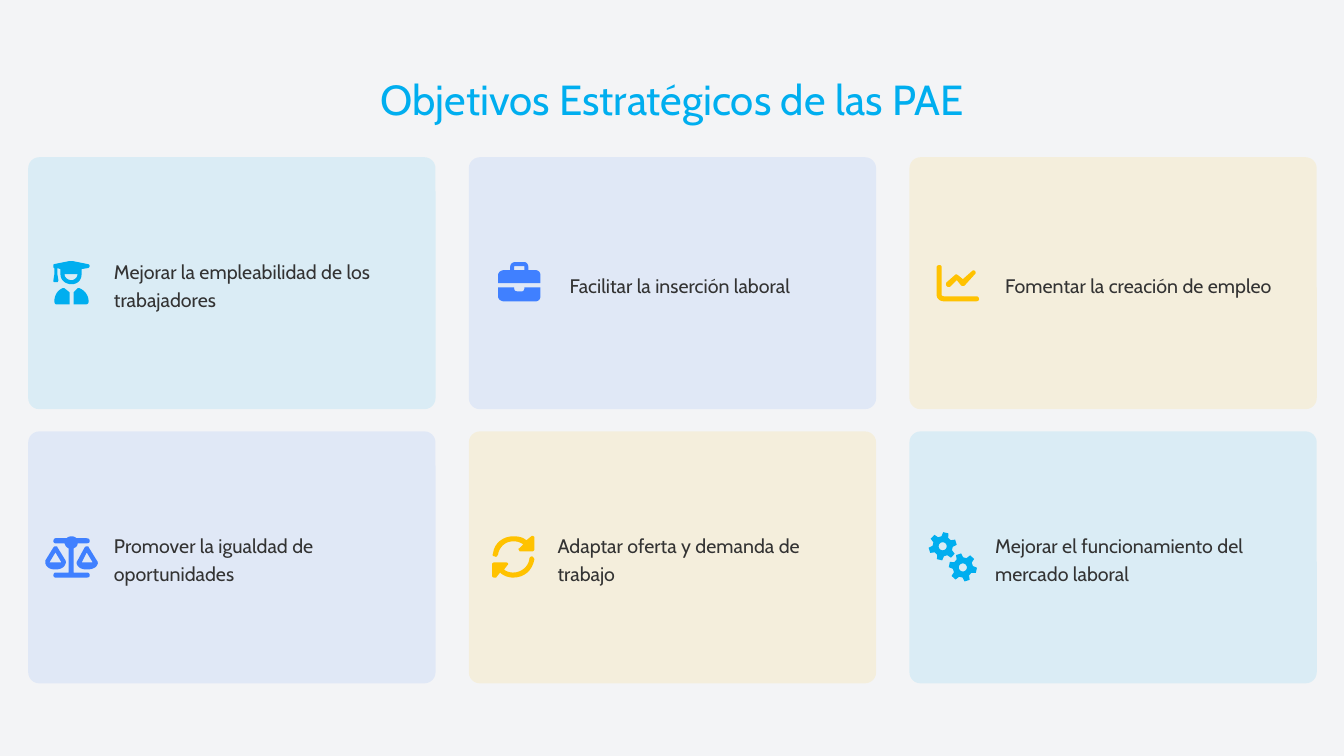
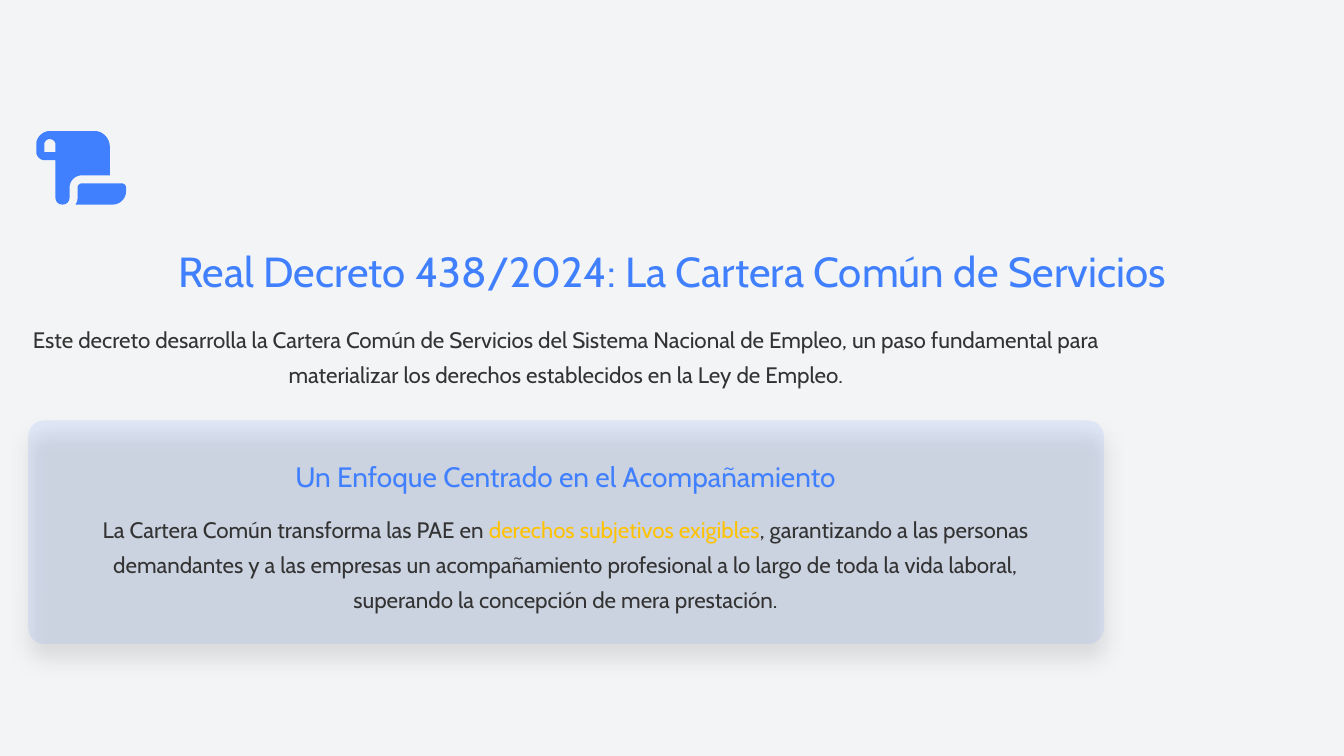
from math import cos, radians, sin

from lxml.etree import SubElement
from pptx import Presentation
from pptx.dml.color import RGBColor
from pptx.enum.shapes import MSO_SHAPE
from pptx.enum.text import MSO_ANCHOR, MSO_AUTO_SIZE, PP_ALIGN
from pptx.oxml.ns import qn
from pptx.util import Inches, Pt

CYAN = RGBColor(0x00, 0xAE, 0xEF)
BLUE = RGBColor(0x40, 0x80, 0xFF)
AMBER = RGBColor(0xFF, 0xC2, 0x00)
INK = RGBColor(0x33, 0x33, 0x33)
PAPER = RGBColor(0xF3, 0xF4, 0xF6)
FONT = "Cabin"
SLIDE_W, SLIDE_H = 13.33, 7.5
MARGIN = 0.28
CARD_W, CARD_H = 4.04, 2.5
COLUMN_STEP, ROW_STEP = 4.37, 2.72
CARDS_TOP = 1.56
CURVE_STEPS = 8

GRADUATE = """
M72,259 C71,259 70,259 69,259 L54,262 C53,262 53,263 53,264 C53,265 53,266 54,266
L54,272 53,278 C53,279 53,280 54,280 L57,280 C57,280 58,279 58,278 L57,272 57,266 60,267 60,272
C60,278 65,282 71,282 C77,282 81,278 81,272 L81,267 87,266
C88,266 89,265 89,264 C89,263 88,262 87,262
M71,278 C67,278 64,275 64,272 L77,272 C77,275 74,278 71,278
M62,286 C57,288 54,293 54,299 C54,301 55,302 56,302 L69,302 69,290 64,286 C64,286 63,286 62,286
M73,302 L85,302 C87,302 88,301 88,299 C88,293 84,288 79,286 C79,286 78,286 77,286 L73,290
"""
BRIEFCASE = """
M511,264 L520,264 C520,264 520,264 520,265 L520,268 510,268 510,265 C510,264 510,264 511,264
M506,265 L506,268 500,268 C497,268 494,270 494,273 L494,281 536,281 536,273
C536,270 534,268 531,268 L524,268 524,265 C524,262 522,260 520,260 L511,260 C508,260 506,262 506,265
M536,285 L520,285 520,286 C520,288 519,289 518,289 L513,289 C511,289 510,288 510,286 L510,285
494,285 494,294 C494,297 497,299 500,299 L531,299 C534,299 536,297 536,294
"""
LINE_CHART = """
M934,265 C934,264 933,263 932,263 C930,263 929,264 929,265 L929,293 C929,296 932,299 936,299
L968,299 C970,299 971,298 971,297 C971,295 970,294 968,294 L936,294 C935,294 934,293 934,293
M967,272 C968,271 968,270 967,269 C966,268 965,268 964,269 L955,277 950,273
C949,272 948,272 947,273 L939,280 C938,281 938,283 939,284 C940,285 942,285 943,284
L949,278 953,283 C954,284 956,284 957,283
"""
SCALES = """
M76,534 L86,534 C88,534 89,535 89,537 C89,538 88,539 86,539 L77,539 C77,542 75,543 73,544
L73,568 86,568 C88,568 89,569 89,571 C89,572 88,573 86,573 L55,573 C54,573 53,572 53,571
C53,569 54,568 55,568 L68,568 68,544 C66,543 65,542 64,539 L55,539 C54,539 53,538 53,537
C53,535 54,534 55,534 L66,534 C67,533 69,532 71,532 C73,532 75,533 76,534
M81,558 L92,558 86,548
M86,565 C81,565 77,563 76,559 C76,558 76,557 77,556 L84,543 C85,542 86,542 86,542
C87,542 88,542 88,543 L96,556 C97,557 97,558 97,559 C96,563 92,565 86,565
M55,548 L49,558 61,558
M45,559 C45,558 45,557 45,556 L53,543 C54,542 54,542 55,542 C56,542 57,542 57,543
L65,556 C65,557 66,558 65,559 C64,563 60,565 55,565 C50,565 46,563 45,559
"""
CYCLE = """
M527,547 L528,547 C529,547 530,546 530,545 L530,534 C530,533 530,532 529,532
C528,531 527,532 527,532 L522,536 C519,533 514,532 509,532 C499,532 490,539 489,549
C488,551 489,552 491,552 C492,553 493,552 494,550 C495,543 501,537 509,537
C513,537 516,538 519,540 L515,544 C514,544 514,545 515,546 C515,547 516,547 516,547
M530,555 C530,554 529,553 528,552 C526,552 525,553 525,555 C524,562 517,568 509,568
C506,568 502,567 500,565 L503,561 C504,560 504,560 504,559 C503,558 503,558 502,558
L490,558 C489,558 488,559 488,560 L488,571 C488,572 489,573 490,573
C490,573 491,573 492,573 L496,568 C499,571 504,573 509,573 C520,573 528,566 530,555
"""
SCROLL = """
M36,143 C36,136 42,131 48,130 L94,130 C102,130 109,137 109,146 L109,174 81,174
C74,174 69,180 69,186 L69,196 C69,200 66,203 62,203 C58,203 55,200 55,196 L55,159 44,159
C40,159 36,155 36,151
M75,203 C76,201 77,199 77,196 L77,186 C77,184 79,182 81,182 L121,182 C123,182 125,184 125,186
L125,190 C125,197 119,203 112,203
M49,138 C47,138 44,140 44,143 L44,151 55,151 55,143 C55,140 52,138 49,138
"""


def bezier(start, first, second, end):
    for step in range(1, CURVE_STEPS + 1):
        t = step / CURVE_STEPS
        weights = ((1 - t) ** 3, 3 * t * (1 - t) ** 2, 3 * t * t * (1 - t), t ** 3)
        yield tuple(sum(w * p[axis] for w, p in zip(weights, (start, first, second, end)))
                    for axis in (0, 1))


def outline(commands):
    contours, handles, mode = [], [], "M"
    for token in commands.split():
        if token[0].isalpha():
            mode, token = token[0], token[1:]
        point = tuple(int(number) / 100 for number in token.split(","))
        if mode == "M":
            contours.append([point])
        elif mode == "L":
            contours[-1].append(point)
        else:
            handles.append(point)
            if len(handles) == 3:
                contours[-1].extend(bezier(contours[-1][-1], *handles))
                handles = []
    return contours


def polar(center, radius, degrees):
    angle = radians(degrees)
    return center[0] + radius * cos(angle), center[1] + radius * sin(angle)


def gear(center, rotation):
    tooth = ((0.1, -20), (0.14, -11), (0.14, 11), (0.1, 20))
    rim = [polar(center, radius, rotation + turn + offset)
           for turn in range(0, 360, 60) for radius, offset in tooth]
    hub = [polar(center, 0.04, turn) for turn in range(0, 360, 15)]
    return [rim, hub]


def add_icon(slide, contours, color):
    builder = None
    for contour in contours:
        points = [(Inches(x), Inches(y)) for x, y in contour]
        if builder is None:
            builder = slide.shapes.build_freeform(*points[0], scale=1.0)
        else:
            builder.move_to(*points[0])
        builder.add_line_segments(points[1:], close=True)
    icon = builder.convert_to_shape()
    icon.shadow.inherit = False
    icon.fill.solid()
    icon.fill.fore_color.rgb = color
    icon.line.fill.background()


def add_card(slide, left, top, width, height, radius, color):
    card = slide.shapes.add_shape(MSO_SHAPE.ROUNDED_RECTANGLE, Inches(left), Inches(top),
                                  Inches(width), Inches(height))
    card.adjustments[0] = radius / min(width, height)
    card.shadow.inherit = False
    card.fill.solid()
    card.fill.fore_color.rgb = color
    card.line.fill.background()
    tint = card.fill._xPr.find(qn("a:solidFill"))[0]
    SubElement(tint, qn("a:alpha"), val="10000")
    return card


def cast_shadow(card):
    effects = card._element.spPr.find(qn("a:effectLst"))
    shadow = SubElement(effects, qn("a:outerShdw"), blurRad=str(Pt(15)), dist=str(Pt(10)),
                        dir="5400000", algn="ctr", rotWithShape="0")
    black = SubElement(shadow, qn("a:srgbClr"), val="000000")
    SubElement(black, qn("a:alpha"), val="10000")


def format_text(frame, runs, size, color, align, spacing=None):
    frame.margin_left = frame.margin_right = frame.margin_top = frame.margin_bottom = 0
    frame.word_wrap = True
    frame.auto_size = MSO_AUTO_SIZE.NONE
    frame.vertical_anchor = MSO_ANCHOR.MIDDLE
    paragraph = frame.paragraphs[0]
    paragraph.alignment = align
    paragraph.line_spacing = spacing
    paragraph.font.name = FONT
    paragraph.font.size = Pt(size)
    paragraph.font.color.rgb = color
    for text, highlight in runs:
        run = paragraph.add_run()
        run.text = text
        if highlight:
            run.font.color.rgb = highlight


def add_text(slide, left, top, width, height, runs, size, color, align, spacing):
    box = slide.shapes.add_textbox(Inches(left), Inches(top), Inches(width), Inches(height))
    format_text(box.text_frame, runs, size, color, align, spacing)


def add_titled_slide(deck, text, top, color):
    slide = deck.slides.add_slide(deck.slide_layouts[5])
    title = slide.shapes.title
    title.left, title.top = Inches(0), Inches(top)
    title.width, title.height = Inches(SLIDE_W), Inches(0.5)
    format_text(title.text_frame, [(text, None)], 30, color, PP_ALIGN.CENTER)
    return slide


def add_goals(deck):
    slide = add_titled_slide(deck, "Objetivos Estratégicos de las PAE", 0.73, CYAN)
    gears = gear((9.55, 5.63), 12) + gear((9.35, 5.42), -17)
    goals = [
        ("Mejorar la empleabilidad de los trabajadores", CYAN, outline(GRADUATE), 1.13),
        ("Facilitar la inserción laboral", BLUE, outline(BRIEFCASE), 5.65),
        ("Fomentar la creación de empleo", AMBER, outline(LINE_CHART), 9.97),
        ("Promover la igualdad de oportunidades", BLUE, outline(SCALES), 1.13),
        ("Adaptar oferta y demanda de trabajo", AMBER, outline(CYCLE), 5.53),
        ("Mejorar el funcionamiento del mercado laboral", CYAN, gears, 9.87),
    ]
    for index, (goal, color, icon, text_left) in enumerate(goals):
        row, column = divmod(index, 3)
        top = CARDS_TOP + row * ROW_STEP
        add_card(slide, MARGIN + column * COLUMN_STEP, top, CARD_W, CARD_H, 0.11, color)
        add_icon(slide, icon, color)
        add_text(slide, text_left, top + (CARD_H - 0.56) / 2, 3.01, 0.56, [(goal, None)],
                 14, INK, PP_ALIGN.LEFT, 1.2)


def add_decree(deck):
    slide = add_titled_slide(deck, "Real Decreto 438/2024: La Cartera Común de Servicios",
                             2.44, BLUE)
    add_icon(slide, outline(SCROLL), BLUE)
    add_text(slide, MARGIN, 3.17, 10.67, 0.67, [
        ("Este decreto desarrolla la Cartera Común de Servicios del Sistema Nacional de Empleo, "
         "un paso fundamental para materializar los derechos establecidos en la Ley de Empleo.",
         None)], 16, INK, PP_ALIGN.CENTER, 1.3)
    cast_shadow(add_card(slide, MARGIN, 4.17, 10.67, 2.22, 0.16, BLUE))
    add_text(slide, 0.33, 4.5, 10.56, 0.39,
             [("Un Enfoque Centrado en el Acompañamiento", None)],
             20, BLUE, PP_ALIGN.CENTER, 1.2)
    add_text(slide, 0.61, 5.06, 10, 1, [
        ("La Cartera Común transforma las PAE en ", None),
        ("derechos subjetivos exigibles", AMBER),
        (", garantizando a las personas demandantes y a las empresas un acompañamiento "
         "profesional a lo largo de toda la vida laboral, superando la concepción de mera "
         "prestación.", None)], 16, INK, PP_ALIGN.CENTER, 1.3)


def main():
    deck = Presentation()
    deck.slide_width, deck.slide_height = Inches(SLIDE_W), Inches(SLIDE_H)
    backdrop = deck.slide_master.background.fill
    backdrop.solid()
    backdrop.fore_color.rgb = PAPER
    add_goals(deck)
    add_decree(deck)
    deck.save("out.pptx")


if __name__ == "__main__":
    main()
